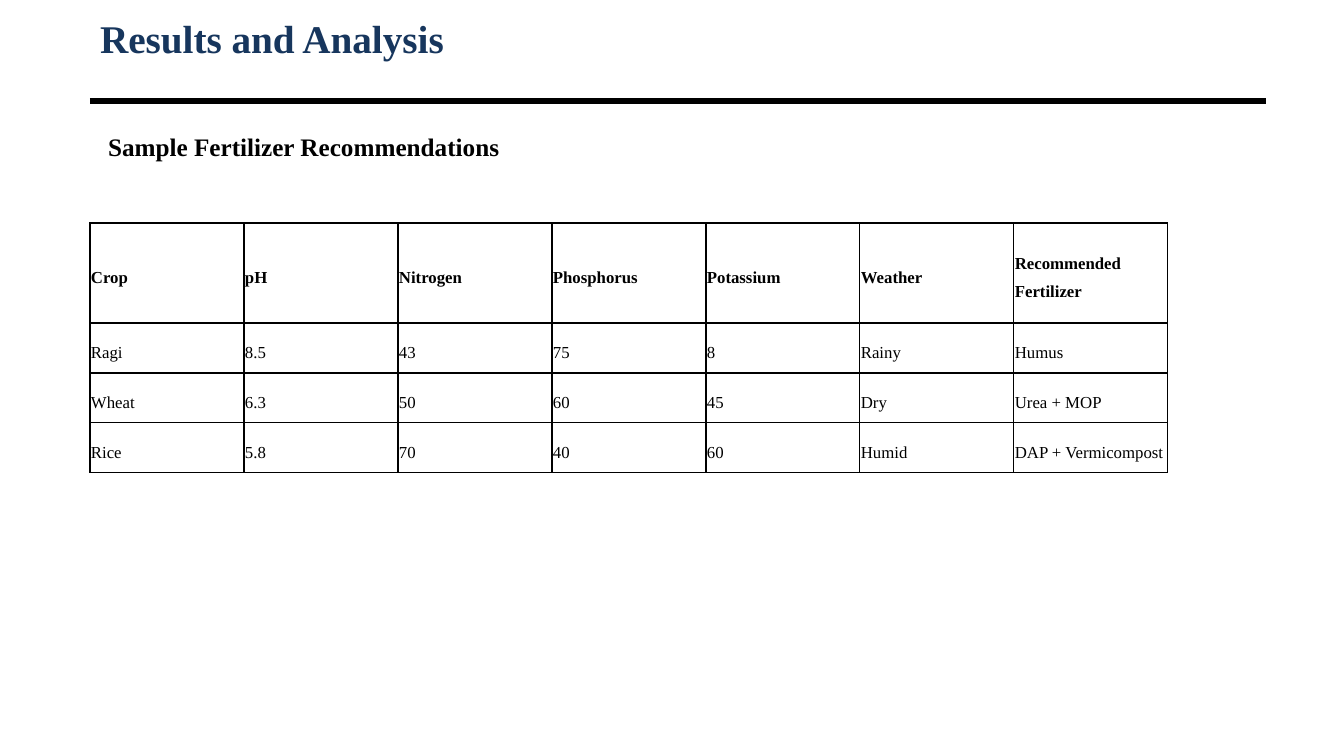
from dataclasses import dataclass

import lxml.etree
import pptx
import pptx.dml.color
import pptx.enum.shapes
import pptx.enum.text
import pptx.oxml.ns
import pptx.util

FONT = "Times New Roman"
BLACK = "000000"
NAVY = "17365D"
PX_PER_INCH = 100.8
LEFT, WIDTH = 90, 1176
TABLE_TOP, COLUMN_WIDTH = 223, 154
ROW_HEIGHTS = (100, 50, 50, 50)
ROWS = (
    ("Crop", "pH", "Nitrogen", "Phosphorus", "Potassium", "Weather", "Recommended Fertilizer"),
    ("Ragi", "8.5", "43", "75", "8", "Rainy", "Humus"),
    ("Wheat", "6.3", "50", "60", "45", "Dry", "Urea + MOP"),
    ("Rice", "5.8", "70", "40", "60", "Humid", "DAP + Vermicompost"),
)


@dataclass(frozen=True)
class Heading:
    text: str
    top: int
    height: int
    inset: int
    size: int
    color: str
    anchor: pptx.enum.text.MSO_ANCHOR
    space_before: float = 0


HEADINGS = (
    Heading("Results and Analysis", 11, 54, 10, 28, NAVY, pptx.enum.text.MSO_ANCHOR.MIDDLE),
    Heading("Sample Fertilizer Recommendations", 126, 546, 18, 18, BLACK,
            pptx.enum.text.MSO_ANCHOR.TOP, 4.8),
)


def px(n: int) -> pptx.util.Emu:
    return pptx.util.Emu(round(n * 914400 / PX_PER_INCH))


def rgb(color: str) -> pptx.dml.color.RGBColor:
    return pptx.dml.color.RGBColor.from_string(color)


def add_run(p, text: str, size: int, color: str, bold: bool) -> None:
    r = p.add_run()
    r.text = text
    r.font.name = FONT
    r.font.size = pptx.util.Pt(size)
    r.font.bold = bold
    r.font.color.rgb = rgb(color)


def add_heading(s, h: Heading) -> None:
    sp = s.shapes.add_textbox(px(LEFT), px(h.top), px(WIDTH), px(h.height))
    tf = sp.text_frame
    tf.word_wrap = True
    tf.vertical_anchor = h.anchor
    tf.margin_left = px(h.inset)
    tf.margin_right = px(10)
    tf.margin_top = tf.margin_bottom = px(5)
    p = tf.paragraphs[0]
    p.space_before = pptx.util.Pt(h.space_before)
    add_run(p, h.text, h.size, h.color, True)


def add_rule(s) -> None:
    y = px(101)
    line = s.shapes.add_connector(pptx.enum.shapes.MSO_CONNECTOR.STRAIGHT,
                                  px(LEFT), y, px(LEFT + WIDTH), y)
    line.line.color.rgb = rgb(BLACK)
    line.line.width = pptx.util.Pt(4.5)
    lxml.etree.SubElement(line._element.spPr, pptx.oxml.ns.qn("a:effectLst"))


def add_borders(cell) -> None:
    qn = pptx.oxml.ns.qn
    tc_pr = cell._tc.get_or_add_tcPr()
    for side in ("lnL", "lnR", "lnT", "lnB"):
        ln = lxml.etree.SubElement(tc_pr, qn(f"a:{side}"), w=str(pptx.util.Pt(1)))
        fill = lxml.etree.SubElement(ln, qn("a:solidFill"))
        lxml.etree.SubElement(fill, qn("a:srgbClr"), val=BLACK)


def fill_cell(cell, text: str, bold: bool) -> None:
    add_borders(cell)
    cell.fill.background()
    cell.vertical_anchor = pptx.enum.text.MSO_ANCHOR.MIDDLE
    cell.margin_left = cell.margin_right = cell.margin_top = cell.margin_bottom = px(1)
    p = cell.text_frame.paragraphs[0]
    p.alignment = pptx.enum.text.PP_ALIGN.JUSTIFY
    p.line_spacing = 1.5
    p.space_after = pptx.util.Pt(8)
    add_run(p, text, 12, BLACK, bold)


def add_fertilizer_table(s) -> None:
    columns = len(ROWS[0])
    table = s.shapes.add_table(len(ROWS), columns, px(LEFT), px(TABLE_TOP),
                               px(columns * COLUMN_WIDTH), px(sum(ROW_HEIGHTS))).table
    table.horz_banding = False
    table.first_row = False
    for column in table.columns:
        column.width = px(COLUMN_WIDTH)
    for i, (height, values) in enumerate(zip(ROW_HEIGHTS, ROWS)):
        table.rows[i].height = px(height)
        for j, value in enumerate(values):
            fill_cell(table.cell(i, j), value, bold=i == 0)


def main() -> None:
    prs = pptx.Presentation()
    prs.slide_width, prs.slide_height = px(1344), px(756)
    s = prs.slides.add_slide(prs.slide_layouts[6])
    add_rule(s)
    for heading in HEADINGS:
        add_heading(s, heading)
    add_fertilizer_table(s)
    prs.save("out.pptx")


if __name__ == "__main__":
    main()
